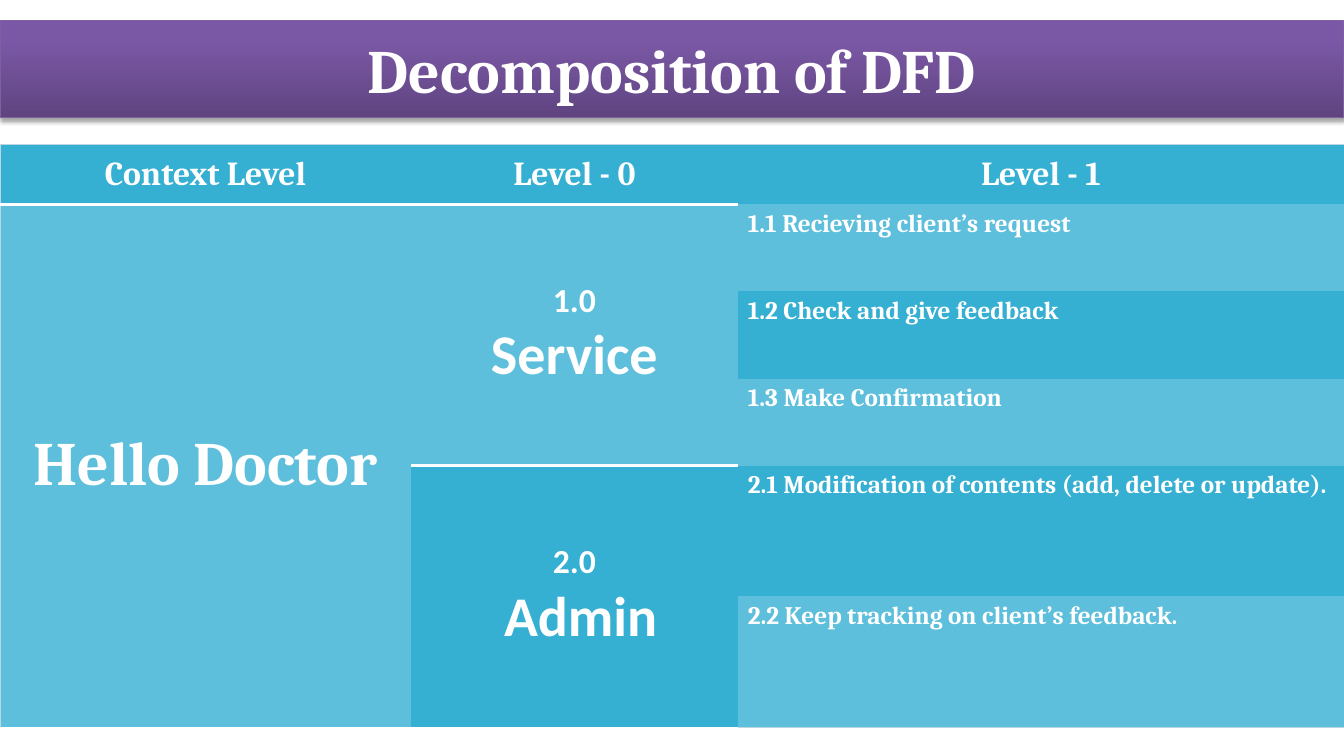
from copy import deepcopy
from dataclasses import dataclass
from typing import Any

from lxml import etree
from pptx import Presentation
from pptx.dml.color import RGBColor
from pptx.enum.text import MSO_ANCHOR, MSO_AUTO_SIZE, PP_ALIGN
from pptx.oxml import parse_xml
from pptx.oxml.ns import nsdecls, qn
from pptx.util import Pt

CENTER, LEFT = PP_ALIGN.CENTER, PP_ALIGN.LEFT
MIDDLE, TOP = MSO_ANCHOR.MIDDLE, MSO_ANCHOR.TOP
NO_AUTOFIT = MSO_AUTO_SIZE.NONE

WHITE, EDGE = "FFFFFF", "BCD7E1"
DARK, LIGHT = "35AFD2", "5DBFDB"
NO_STYLE = "{2D5ABB26-0587-4C30-8999-92F81FD0307C}"
COLUMN_WIDTHS = (293.5, 233.5, 433)
ROW_HEIGHTS = (43, 62.2, 62.2, 62.2, 93.5, 93.5)


@dataclass(frozen=True)
class Line:
    text: str
    size: float
    font: str = "Cambria"


@dataclass(frozen=True)
class Block:
    row: int
    column: int
    lines: tuple[Line, ...]
    fill: str
    rows: int = 1
    centered: bool = True


def process(number: str, name: str) -> tuple[Line, ...]:
    return Line(number, 24, "Calibri"), Line(name, 40, "Calibri")


HEADERS = ("Context Level", "Level - 0", "Level - 1")
STEPS = (
    ("1.1 Recieving client’s request", LIGHT),
    ("1.2 Check and give feedback", DARK),
    ("1.3 Make Confirmation", LIGHT),
    ("2.1 Modification of contents (add, delete or update).", DARK),
    ("2.2 Keep tracking on client’s feedback.", LIGHT),
)
BLOCKS = (
    *(Block(0, column, (Line(text, 24),), DARK) for column, text in enumerate(HEADERS)),
    Block(1, 0, (Line("Hello Doctor", 44),), LIGHT, rows=5),
    Block(1, 1, process("1.0", "Service"), LIGHT, rows=3),
    Block(4, 1, process("2.0", " Admin"), DARK, rows=2),
    *(
        Block(row, 2, (Line(text, 18),), fill, centered=False)
        for row, (text, fill) in enumerate(STEPS, start=1)
    ),
)


def color(value: str) -> RGBColor:
    return RGBColor.from_string(value)


def write_lines(text_frame: Any, lines: tuple[Line, ...], alignment: PP_ALIGN) -> None:
    text_frame.text = "\n".join(line.text for line in lines)
    for paragraph, line in zip(text_frame.paragraphs, lines):
        paragraph.alignment = alignment
        for run in paragraph.runs:
            run.font.name = line.font
            run.font.size = Pt(line.size)
            run.font.bold = True
            run.font.color.rgb = color(WHITE)


def add_border(cell: Any, side: str, value: str, width: float) -> None:
    properties = cell._tc.get_or_add_tcPr()
    border = etree.SubElement(properties, qn(f"a:ln{side}"), w=str(Pt(width)))
    fill = etree.SubElement(border, qn("a:solidFill"))
    etree.SubElement(fill, qn("a:srgbClr"), val=value)


def add_borders(table: Any) -> None:
    last_row, last_column = len(ROW_HEIGHTS) - 1, len(COLUMN_WIDTHS) - 1
    for row in range(last_row + 1):
        for column in range(last_column + 1):
            cell = table.cell(row, column)
            if column == 0:
                add_border(cell, "L", EDGE, 0.75)
            if column == last_column:
                add_border(cell, "R", EDGE, 0.75)
            if row == 0:
                add_border(cell, "T", EDGE, 0.75)
            elif row == 1 and column < last_column:
                add_border(cell, "T", WHITE, 3)
            if row == 0 and column < last_column:
                add_border(cell, "B", WHITE, 3)
            elif row == last_row:
                add_border(cell, "B", EDGE, 0.75)


def add_title(slide: Any) -> None:
    title = slide.shapes.title
    title.left, title.top, title.width, title.height = Pt(0), Pt(14.7), Pt(960), Pt(69.4)
    title.fill.gradient()
    title.fill.gradient_angle = 90
    stop_list = title._element.spPr.find(".//" + qn("a:gsLst"))
    stop_list.append(deepcopy(stop_list[-1]))
    stops = ((0, "5F4480"), (0.8, "7B58A6"), (1, "7C57A8"))
    for stop, (position, value) in zip(title.fill.gradient_stops, stops):
        stop.position = position
        stop.color.rgb = color(value)
    title.line.color.rgb = color("7D60A0")
    title.line.width = Pt(0.75)
    title.shadow.inherit = False
    title._element.spPr.find(qn("a:effectLst")).append(parse_xml(
        f'<a:outerShdw {nsdecls("a")} blurRad="{Pt(3.1)}" dist="{Pt(1.8)}" '
        'dir="5400000" rotWithShape="0"><a:srgbClr val="000000">'
        '<a:alpha val="35000"/></a:srgbClr></a:outerShdw>'
    ))
    title.text_frame.auto_size = NO_AUTOFIT
    title.text_frame.vertical_anchor = MIDDLE
    write_lines(title.text_frame, (Line("Decomposition of DFD", 44),), CENTER)


def add_levels(slide: Any) -> None:
    table = slide.shapes.add_table(
        len(ROW_HEIGHTS), len(COLUMN_WIDTHS),
        Pt(0), Pt(103), Pt(sum(COLUMN_WIDTHS)), Pt(sum(ROW_HEIGHTS)),
    ).table
    table._tbl.tblPr.find(qn("a:tableStyleId")).text = NO_STYLE
    table.horz_banding = False
    for column, width in zip(table.columns, COLUMN_WIDTHS):
        column.width = Pt(width)
    for row, height in zip(table.rows, ROW_HEIGHTS):
        row.height = Pt(height)
    add_borders(table)
    for block in BLOCKS:
        cell = table.cell(block.row, block.column)
        if block.rows > 1:
            cell.merge(table.cell(block.row + block.rows - 1, block.column))
        cell.fill.solid()
        cell.fill.fore_color.rgb = color(block.fill)
        cell.vertical_anchor = MIDDLE if block.centered else TOP
        write_lines(cell.text_frame, block.lines, CENTER if block.centered else LEFT)


def main() -> None:
    presentation = Presentation()
    presentation.slide_width, presentation.slide_height = Pt(960), Pt(540)
    slide = presentation.slides.add_slide(presentation.slide_layouts[5])
    add_title(slide)
    add_levels(slide)
    presentation.save("out.pptx")


if __name__ == "__main__":
    main()
